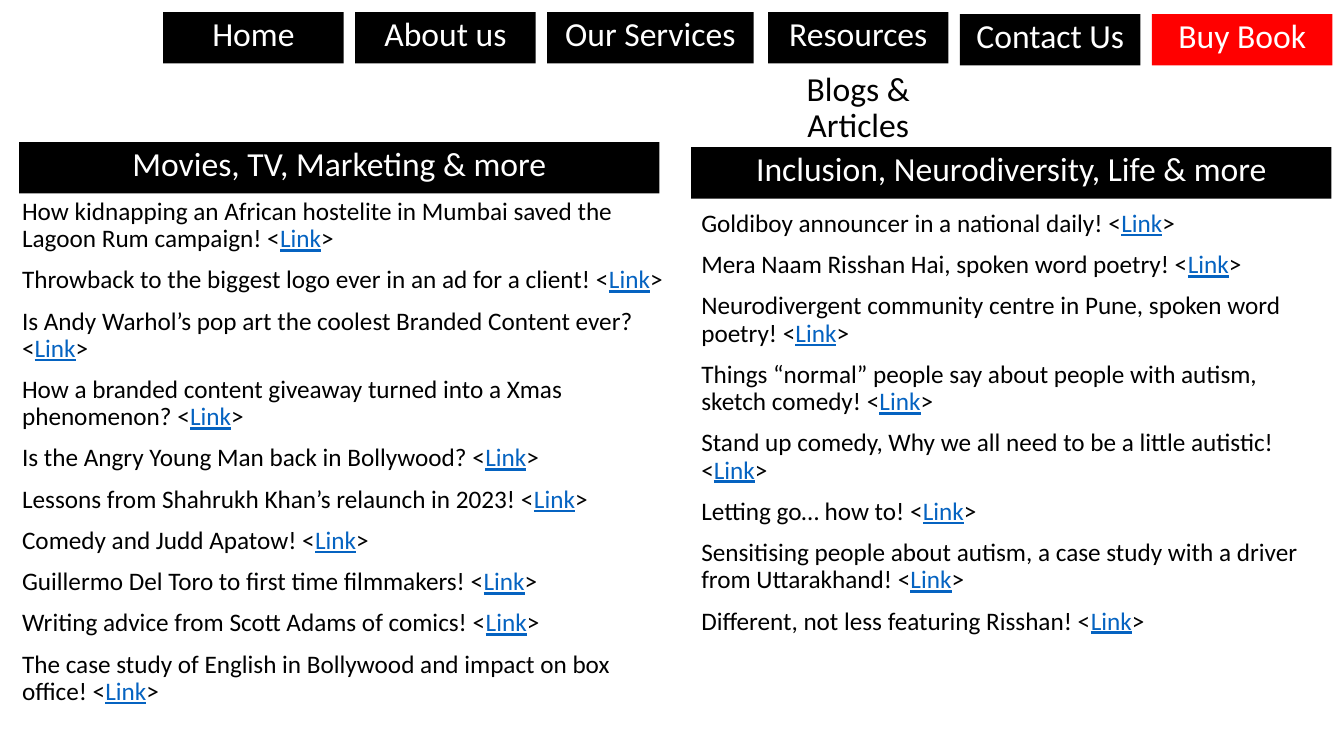
"""Build a website page slide with a menu bar and two lists of articles."""
from dataclasses import dataclass

from lxml import etree
from pptx import Presentation
from pptx.dml.color import RGBColor
from pptx.enum.shapes import MSO_SHAPE
from pptx.enum.text import MSO_ANCHOR, MSO_AUTO_SIZE, PP_ALIGN
from pptx.oxml.ns import qn
from pptx.util import Inches, Pt

RECTANGLE = MSO_SHAPE.RECTANGLE
TOP = MSO_ANCHOR.TOP
NO_AUTOFIT = MSO_AUTO_SIZE.NONE
LEFT, CENTER = PP_ALIGN.LEFT, PP_ALIGN.CENTER

BLACK = RGBColor(0x00, 0x00, 0x00)
WHITE = RGBColor(0xFF, 0xFF, 0xFF)
RED = RGBColor(0xFF, 0x00, 0x00)
LINK_BLUE = RGBColor(0x05, 0x63, 0xC1)

FONT = "Calibri"
HEADING_SIZE, LIST_SIZE = 24, 18
SLIDE_WIDTH, SLIDE_HEIGHT = Inches(13.33), Inches(7.5)
COLUMNS, ROWS = 140, 75

MENU_LEFT, MENU_PITCH, MENU_SHIFT = 17, 20, 3
BUTTON_WIDTH, WIDE_BUTTON_WIDTH, BAR_HEIGHT = 18.8, 21.5, 5.1
HEADING_WIDTH = 66.7


@dataclass(frozen=True)
class Area:
    """Place on the slide grid, in columns and rows."""
    column: float
    row: float
    width: float
    height: float


@dataclass(frozen=True)
class Bar:
    """Filled rectangle with a centred label."""
    label: str
    area: Area
    fill: RGBColor = BLACK


@dataclass(frozen=True)
class ArticleList:
    """Heading bar and the linked articles under it."""
    heading: Bar
    area: Area
    articles: tuple[str, ...]


def menu_button(index: int, label: str, row: float, width: float = BUTTON_WIDTH,
                fill: RGBColor = BLACK) -> Bar:
    """Place a menu button by its position in the menu."""
    shift = MENU_SHIFT if index >= 3 else 0
    column = MENU_LEFT + index * MENU_PITCH + shift
    return Bar(label, Area(column, row, width, BAR_HEIGHT), fill)


MENU = (
    menu_button(0, "Home", 1.2),
    menu_button(1, "About us", 1.2),
    menu_button(2, "Our Services", 1.2, WIDE_BUTTON_WIDTH),
    menu_button(3, "Resources", 1.2),
    menu_button(4, "Contact Us", 1.4),
    menu_button(5, "Buy Book", 1.4, fill=RED),
)
PAGE_TITLE = "Blogs & Articles"
PAGE_TITLE_AREA = Area(80, 6.7, BUTTON_WIDTH, 10)

ARTICLE_LISTS = (
    ArticleList(
        Bar("Movies, TV, Marketing & more", Area(2, 14.1, HEADING_WIDTH, BAR_HEIGHT)),
        Area(1.25, 19.2, 70.7, 57),
        (
            "How kidnapping an African hostelite in Mumbai saved the Lagoon Rum campaign!",
            "Throwback to the biggest logo ever in an ad for a client!",
            "Is Andy Warhol’s pop art the coolest Branded Content ever?",
            "How a branded content giveaway turned into a Xmas phenomenon?",
            "Is the Angry Young Man back in Bollywood?",
            "Lessons from Shahrukh Khan’s relaunch in 2023!",
            "Comedy and Judd Apatow!",
            "Guillermo Del Toro to first time filmmakers!",
            "Writing advice from Scott Adams of comics!",
            "The case study of English in Bollywood and impact on box office!",
        ),
    ),
    ArticleList(
        Bar("Inclusion, Neurodiversity, Life & more",
            Area(72, 14.6, HEADING_WIDTH, BAR_HEIGHT)),
        Area(72, 20.4, HEADING_WIDTH, 51.5),
        (
            "Goldiboy announcer in a national daily!",
            "Mera Naam Risshan Hai, spoken word poetry!",
            "Neurodivergent community centre in Pune, spoken word poetry!",
            "Things “normal” people say about people with autism, sketch comedy!",
            "Stand up comedy, Why we all need to be a little autistic!",
            "Letting go… how to!",
            "Sensitising people about autism, a case study with a driver from Uttarakhand!",
            "Different, not less featuring Risshan!",
        ),
    ),
)


def grid_box(area: Area) -> tuple[int, int, int, int]:
    """Turn a grid area into left, top, width and height."""
    return (round(area.column * SLIDE_WIDTH / COLUMNS),
            round(area.row * SLIDE_HEIGHT / ROWS),
            round(area.width * SLIDE_WIDTH / COLUMNS),
            round(area.height * SLIDE_HEIGHT / ROWS))


def place(shape, area: Area) -> None:
    """Move a placeholder to a grid area."""
    shape.left, shape.top, shape.width, shape.height = grid_box(area)


def prepare_frame(shape):
    """Set up wrapped text that starts at the top and return its frame."""
    frame = shape.text_frame
    frame.word_wrap = True
    frame.auto_size = NO_AUTOFIT
    frame.vertical_anchor = TOP
    return frame


def format_paragraph(paragraph, alignment: PP_ALIGN) -> None:
    """Set alignment and spacing and clear the bullet and indent."""
    paragraph.alignment = alignment
    paragraph.line_spacing = 0.9
    paragraph.space_before = Pt(10)
    properties = paragraph._p.get_or_add_pPr()
    properties.set("marL", "0")
    properties.set("indent", "0")
    etree.SubElement(properties, qn("a:buNone"))


def add_run(paragraph, text: str, size: int, color: RGBColor,
            underline: bool = False) -> None:
    """Append one formatted run."""
    run = paragraph.add_run()
    run.text = text
    run.font.name = FONT
    run.font.size = Pt(size)
    run.font.color.rgb = color
    run.font.underline = underline


def write_label(shape, text: str, color: RGBColor) -> None:
    """Write one centred line of heading text."""
    paragraph = prepare_frame(shape).paragraphs[0]
    format_paragraph(paragraph, CENTER)
    add_run(paragraph, text, HEADING_SIZE, color)


def draw_bar(slide, bar: Bar) -> None:
    """Draw a filled bar with its label."""
    shape = slide.shapes.add_shape(RECTANGLE, *grid_box(bar.area))
    shape.shadow.inherit = False
    shape.fill.solid()
    shape.fill.fore_color.rgb = bar.fill
    shape.line.fill.background()
    write_label(shape, bar.label, WHITE)


def fill_article_list(placeholder, article_list: ArticleList) -> None:
    """Write the articles, each followed by its link mark."""
    place(placeholder, article_list.area)
    frame = prepare_frame(placeholder)
    for index, article in enumerate(article_list.articles):
        paragraph = frame.add_paragraph() if index else frame.paragraphs[0]
        format_paragraph(paragraph, LEFT)
        add_run(paragraph, f"{article} <", LIST_SIZE, BLACK)
        add_run(paragraph, "Link", LIST_SIZE, LINK_BLUE, underline=True)
        add_run(paragraph, ">", LIST_SIZE, BLACK)


def main() -> None:
    """Build and save the presentation."""
    presentation = Presentation()
    presentation.slide_width, presentation.slide_height = SLIDE_WIDTH, SLIDE_HEIGHT
    slide = presentation.slides.add_slide(
        presentation.slide_layouts.get_by_name("Two Content"))
    title, *bodies = slide.placeholders
    place(title, PAGE_TITLE_AREA)
    write_label(title, PAGE_TITLE, BLACK)
    for button in MENU:
        draw_bar(slide, button)
    for body, article_list in zip(bodies, ARTICLE_LISTS):
        draw_bar(slide, article_list.heading)
        fill_article_list(body, article_list)
    presentation.save("out.pptx")


if __name__ == "__main__":
    main()
